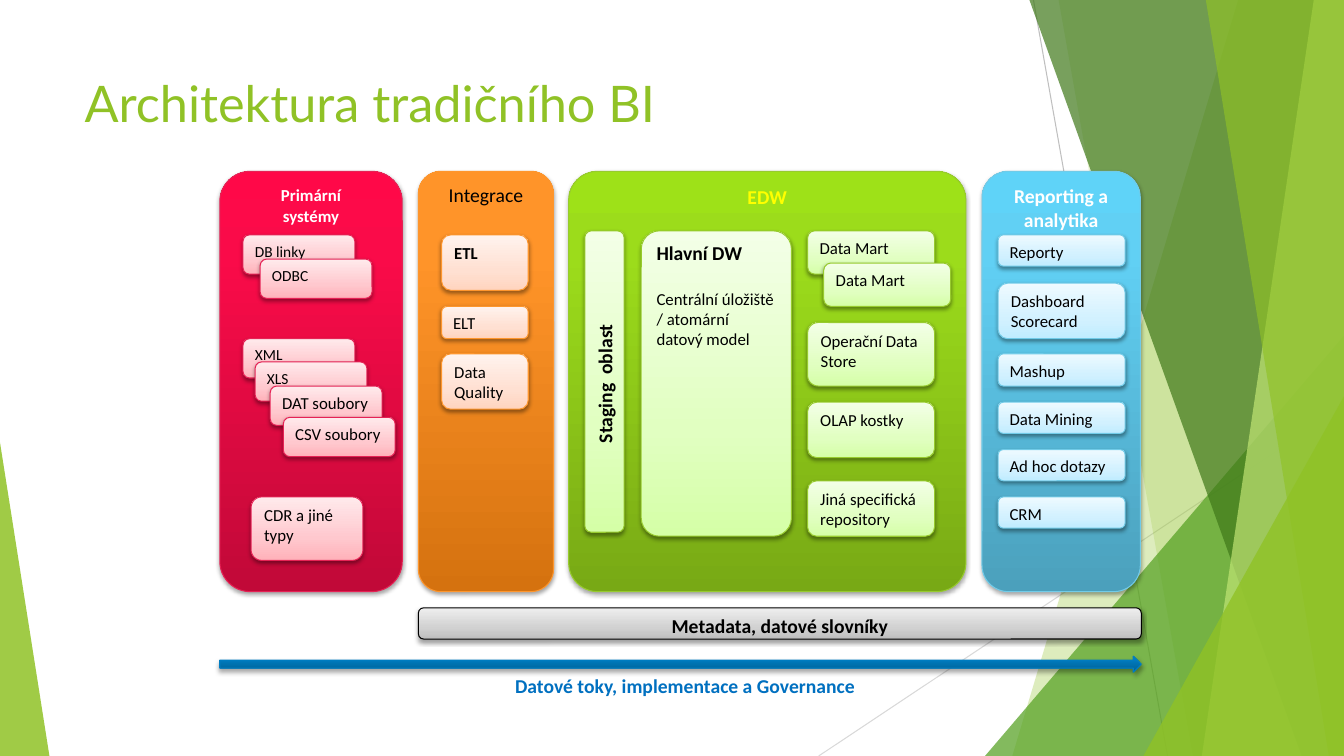
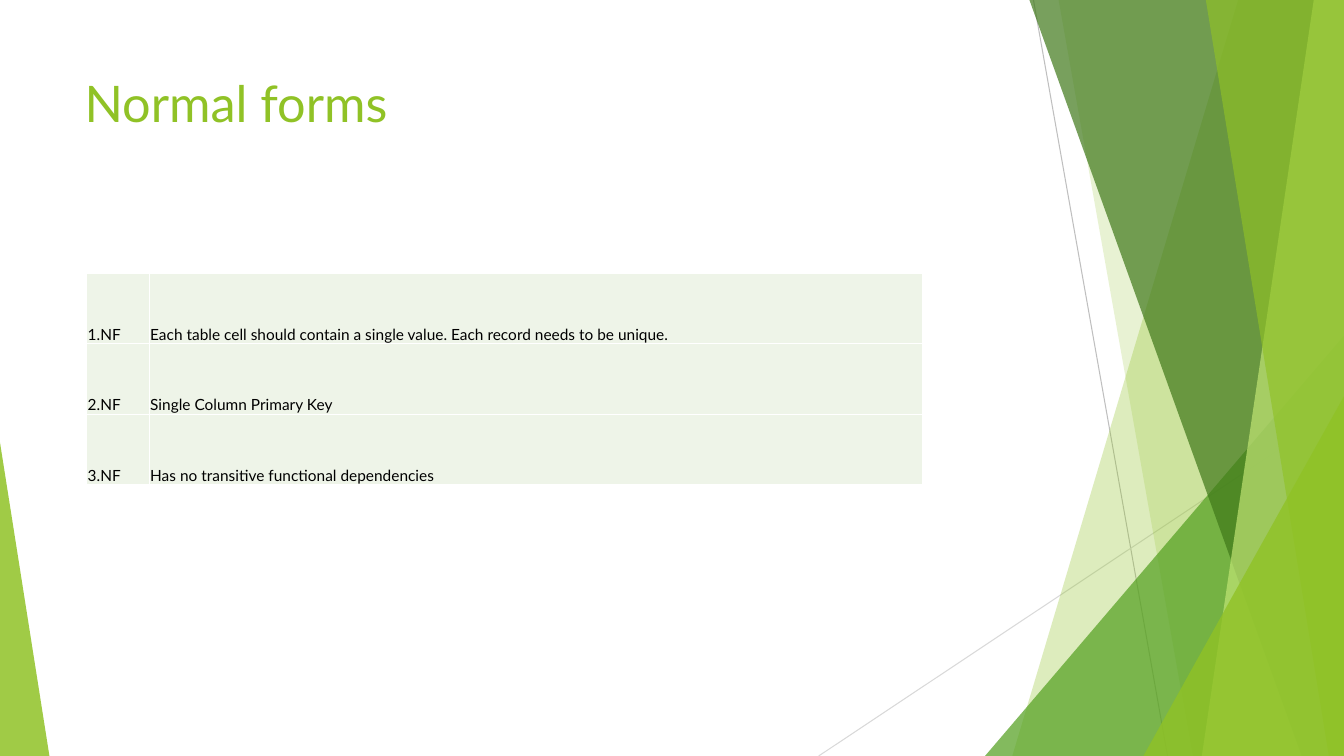
"""Build two slides: a BI architecture diagram and a table of normal forms."""
from copy import deepcopy

from lxml import etree
from pptx import Presentation
from pptx.dml.color import RGBColor
from pptx.enum import shapes, text
from pptx.oxml.ns import qn
from pptx.util import Inches, Pt

KIND = shapes.MSO_SHAPE
LEFT, MID = text.PP_ALIGN.LEFT, text.PP_ALIGN.CENTER
GREEN, BLACK, WHITE = "90C226", "000000", "FFFFFF"
WIDE, HIGH = 13.33, 7.5

RAYS = [((10.25, 0), (11.58, HIGH), "BFBFBF"), ((WIDE, 4.03), (8.12, HIGH), "D9D9D9")]
# <kind>, outline or (left, top, width, height, apex), colour, opacity
BANDS = [
    ("free", (12.28, WIDE, WIDE, 10.04), GREEN, 30),
    ("free", (10.5, WIDE, WIDE, 11.83), GREEN, 20),
    ("tri", (9.77, 3.33, 3.56, 4.17, 1), "54A021", 72),
    ("free", (10.21, WIDE, WIDE, 12.91), "3F7819", 70),
    ("free", (13.03, WIDE, WIDE, 11.92), "C0E474", 70),
    ("free", (11.96, WIDE, WIDE, 13.18), GREEN, 65),
    ("tri", (11.34, 3.93, 1.99, 3.57, 1), GREEN, 80),
    ("tri", (0, 4.39, 0.49, 3.11, 0), GREEN, 85),
]

DARK, PALE = (0, 80, 100), (0, 35, 100)
TOP, TALL = 1.7, 4.17
PANELS = [
    {"x": 4.15, "w": 1.34, "head": ["Integrace"], "size": 14, "ink": BLACK, "bold": False,
     "line": "FE962D", "dark": ("D5720F", "FF9429", "FF952B"),
     "pale": ("FFD4BF", "FFE0D2", "FFF3EE"),
     "tiles": [(4.38, 2.33, 0.86, 0.55, ["ETL"], 12, True),
               (4.38, 3.04, 0.86, 0.32, ["ELT"], 12, False),
               (4.38, 3.51, 0.86, 0.55, ["Data", "Quality"], 12, False)]},
    {"x": 9.74, "w": 1.57, "head": ["Reporting a analytika"], "size": 14, "ink": WHITE,
     "bold": True, "line": "71CBE8", "dark": ("4BA0BC", "61D0F4", "5FD3F8"),
     "pale": ("C0ECFF", "D2F1FF", "EEFAFF"),
     "tiles": [(9.9, y, 1.26, h, [name], 12, False) for y, h, name in [
         (2.33, 0.31, "Reporty"), (2.81, 0.55, "Dashboard Scorecard"),
         (3.51, 0.32, "Mashup"), (3.99, 0.31, "Data Mining"),
         (4.46, 0.31, "Ad hoc dotazy"), (4.93, 0.31, "CRM")]]},
    {"x": 5.64, "w": 3.94, "head": ["EDW"], "size": 14, "ink": "FFFF00", "bold": True,
     "adj": 0.073, "line": "97CB2E", "dark": ("78A915", "9CDC1B", "9EE118"),
     "pale": ("D5FFA7", "E1FFC1", "F3FFE7"),
     "tiles": [(x, y, 1.26, h, [name], 12, False) for x, y, h, name in [
         (8.01, 2.29, 0.43, "Data Mart"), (8.17, 2.61, 0.43, "Data Mart"),
         (8.01, 3.2, 0.63, "Operační Data Store"), (8.01, 3.99, 0.55, "OLAP kostky"),
         (8.01, 4.77, 0.55, "Jiná specifická repository")]]},
    {"x": 2.18, "w": 1.81, "head": ["Primární", "systémy"], "size": 12, "ink": WHITE,
     "bold": True, "line": "E62255", "dark": ("C10938", "FA0B49", "FF0848"),
     "pale": ("FFB2BA", "FFC8CE", "FFEAEC"),
     "tiles": [(x, y, 1.11, h, [name], size, False) for x, y, h, name, size in [
         (2.41, 2.33, 0.39, "DB linky", 11), (2.58, 2.57, 0.39, "ODBC", 11),
         (2.41, 3.36, 0.39, "XML", 11), (2.53, 3.59, 0.39, "XLS", 11),
         (2.68, 3.83, 0.39, "DAT soubory", 12), (2.81, 4.14, 0.39, "CSV soubory", 12),
         (2.49, 4.93, 0.63, "CDR a jiné typy", 12)]]},
]
FORMS = [
    ("1.NF", "Each table cell should contain a single value. Each record needs to be unique."),
    ("2.NF", "Single Column Primary Key"),
    ("3.NF", "Has no transitive functional dependencies"),
]


def rgb(code):
    return RGBColor.from_string(code)


def node(up, tag, **attrs):
    return etree.SubElement(up, qn(tag), {k: str(v) for k, v in attrs.items()})


def box(*sizes):
    return [Inches(v) for v in sizes]


def write(frame, lines, size, ink=BLACK, bold=False, font="Calibri", align=LEFT, gap=0):
    for i, line in enumerate(lines):
        para = frame.paragraphs[0] if i == 0 else frame.add_paragraph()
        para.alignment = align
        if i and gap:
            para.space_before = Pt(gap)
        run = para.add_run()
        run.text = line
        run.font.name, run.font.size, run.font.bold = font, Pt(size), bold
        run.font.color.rgb = rgb(ink)


def label(slide, at, line, size, **look):
    frame = slide.shapes.add_textbox(*box(*at)).text_frame
    frame.word_wrap = True
    write(frame, [line], size, **look)


def glossy(slide, at, stops, edge, kind=KIND.ROUNDED_RECTANGLE, adj=None, glow=38):
    shape = slide.shapes.add_shape(kind, *box(*at))
    if adj is not None:
        shape.adjustments[0] = adj
    shape.fill.gradient()
    shape.fill.gradient_angle = 90
    ramp = shape._element.find(".//" + qn("a:gsLst"))
    ramp.append(deepcopy(ramp[0]))
    for stop, (place, code) in zip(shape.fill.gradient_stops, stops):
        stop.position = place / 100
        stop.color.rgb = rgb(code)
    shape.line.color.rgb = rgb(edge)
    shape.line.width = Pt(0.75)
    shape.shadow.inherit = False
    drop = node(shape._element.spPr.find(qn("a:effectLst")), "a:outerShdw",
                blurRad=Pt(3.1), dist=Pt(1.7), dir=5400000, rotWithShape=0)
    node(node(drop, "a:srgbClr", val=BLACK), "a:alpha", val=glow * 1000)
    shape.text_frame.vertical_anchor = text.MSO_ANCHOR.TOP
    return shape


def start(deck, title):
    slide = deck.slides.add_slide(deck.slide_layouts[6])
    for head, tail, code in RAYS:
        ray = slide.shapes.add_connector(shapes.MSO_CONNECTOR.STRAIGHT, *box(*head, *tail))
        ray.line.color.rgb = rgb(code)
        ray.line.width = Pt(0.75)
        node(ray._element.spPr, "a:effectLst")
    for kind, form, code, clear in BANDS:
        if kind == "free":
            spots = [box(x, y) for x, y in zip(form, (0, 0, HIGH, HIGH))]
            pen = slide.shapes.build_freeform(*spots[0])
            pen.add_line_segments(spots[1:], close=True)
            band = pen.convert_to_shape()
        else:
            band = slide.shapes.add_shape(KIND.ISOSCELES_TRIANGLE, *box(*form[:4]))
            band.adjustments[0] = form[4]
        band.shadow.inherit = False
        band.line.fill.background()
        band.fill.solid()
        band.fill.fore_color.rgb = rgb(code)
        tint = band._element.spPr.find(qn("a:solidFill"))[0]
        node(tint, "a:alpha", val=clear * 1000)
    label(slide, (0.74, 0.67, 9.4, 1.44), title, 36, ink=GREEN, font="Lato")
    return slide


def draw_flow(deck):
    slide = start(deck, "Architektura tradičního BI")
    for p in PANELS:
        panel = glossy(slide, (p["x"], TOP, p["w"], TALL), zip(DARK, p["dark"]),
                       p["line"], adj=p.get("adj"), glow=35)
        write(panel.text_frame, p["head"], p["size"], p["ink"], p["bold"], align=MID)
        for *at, lines, size, bold in p["tiles"]:
            tile = glossy(slide, at, zip(PALE, p["pale"]), p["line"])
            write(tile.text_frame, lines, size, bold=bold)

    edw = PANELS[2]
    stage = glossy(slide, (5.8, 2.29, 0.39, 2.99), zip(PALE, edw["pale"]), edw["line"])
    stage.text_frame.vertical_anchor = text.MSO_ANCHOR.MIDDLE
    stage._element.txBody.bodyPr.set("vert", "vert270")
    write(stage.text_frame, ["Staging  oblast "], 14, bold=True, align=MID)
    core = glossy(slide, (6.36, 2.29, 1.49, 3.03), zip(PALE, edw["pale"]), edw["line"],
                  adj=0.122)
    write(core.text_frame, ["Hlavní DW", "Centrální úložiště / atomární datový model"],
          12, gap=17)
    lead = core.text_frame.paragraphs[0].runs[0].font
    lead.size, lead.bold = Pt(14), True

    meta = glossy(slide, (4.15, 6.03, 7.17, 0.31),
                  zip(PALE, ("BDBDBD", "D1D1D1", "EEEEEE")), BLACK)
    write(meta.text_frame, ["Metadata, datové slovníky"], 14, bold=True, align=MID)
    glossy(slide, (2.18, 6.51, 9.14, 0.16), zip(DARK, ("006094", "007CC0", "007DC1")),
           "007DC2", kind=KIND.RIGHT_ARROW, glow=35)
    label(slide, (5.01, 6.64, 3.8, 0.34), "Datové toky, implementace a Governance", 14,
          ink="0070C0", bold=True)


def draw_forms(deck):
    slide = start(deck, "Normal forms")
    table = slide.shapes.add_table(len(FORMS), 2, *box(0.86, 2.71, 8.29, 2.1)).table
    table.first_row = table.horz_banding = False
    for col, wide in zip(table.columns, (0.62, 7.67)):
        col.width = Inches(wide)
    for r, row in enumerate(FORMS):
        table.rows[r].height = Inches(0.7)
        for c, line in enumerate(row):
            cell = table.cell(r, c)
            cell.margin_left = cell.margin_right = cell.margin_top = Inches(0.01)
            cell.margin_bottom = 0
            cell.vertical_anchor = text.MSO_ANCHOR.BOTTOM
            props = cell._tc.get_or_add_tcPr()
            for side in ("a:lnL", "a:lnR", "a:lnT", "a:lnB"):
                edge = node(props, side, w=Pt(1))
                node(node(edge, "a:solidFill"), "a:srgbClr", val=WHITE)
            cell.fill.solid()
            cell.fill.fore_color.rgb = rgb("EEF4E8")
            write(cell.text_frame, [line], 11, font="Lato")


def main():
    deck = Presentation()
    deck.slide_width, deck.slide_height = box(WIDE, HIGH)
    draw_flow(deck)
    draw_forms(deck)
    deck.save("out.pptx")


if __name__ == "__main__":
    main()
